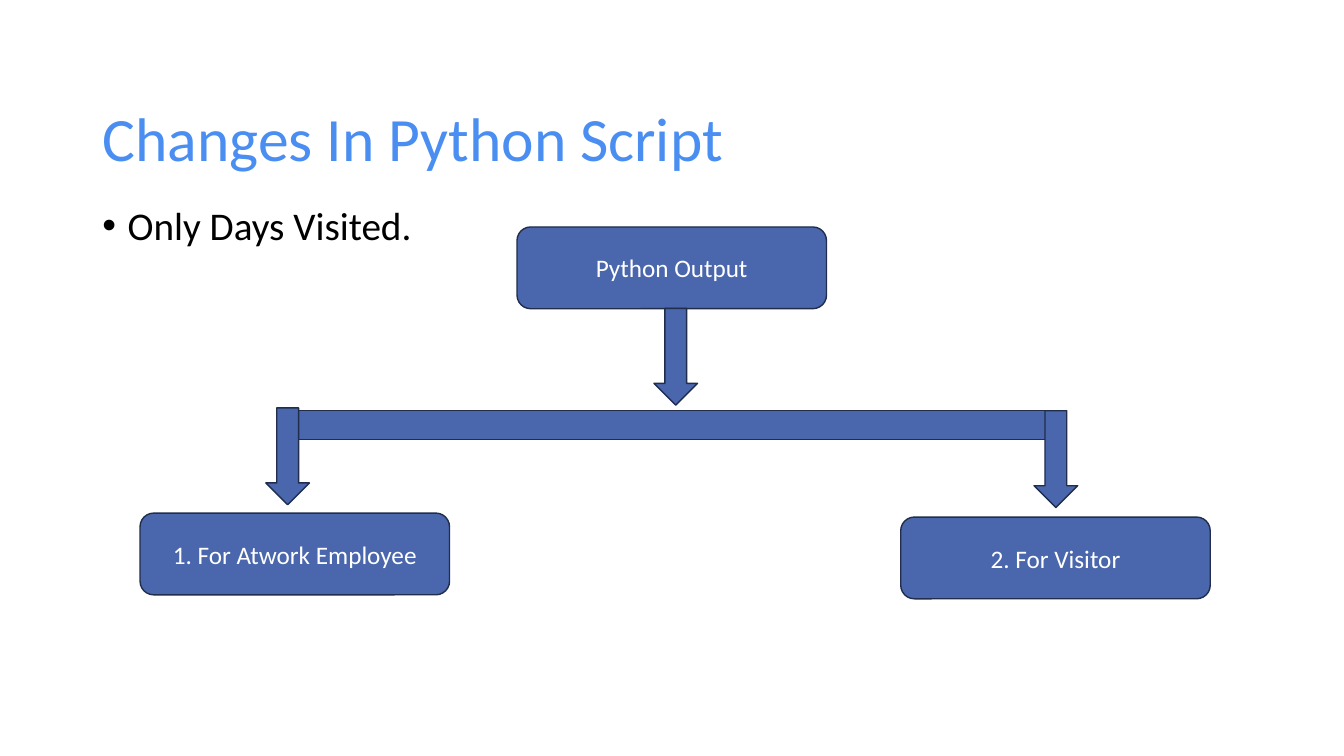
from lxml import etree
from pptx import Presentation
from pptx.dml.color import RGBColor
from pptx.enum.shapes import MSO_SHAPE
from pptx.enum.text import MSO_ANCHOR, MSO_AUTO_SIZE, PP_ALIGN
from pptx.oxml.ns import qn
from pptx.util import Cm, Pt

TITLE_BLUE = RGBColor(0x4A, 0x8E, 0xF2)
SHAPE_BLUE = RGBColor(0x4A, 0x66, 0xAC)
OUTLINE_NAVY = RGBColor(0x20, 0x2D, 0x4B)
BLACK = RGBColor(0, 0, 0)
WHITE = RGBColor(0xFF, 0xFF, 0xFF)
ROUNDED = MSO_SHAPE.ROUNDED_RECTANGLE
ARROW = MSO_SHAPE.DOWN_ARROW
BAR = MSO_SHAPE.RECTANGLE
LEFT, CENTER, JUSTIFY = PP_ALIGN.LEFT, PP_ALIGN.CENTER, PP_ALIGN.JUSTIFY
MIDDLE, TOP = MSO_ANCHOR.MIDDLE, MSO_ANCHOR.TOP


def write_text(box, text, size, color, align, anchor=MIDDLE, line_spacing=1.0):
    frame = box.text_frame
    frame.word_wrap = True
    frame.auto_size = MSO_AUTO_SIZE.NONE
    frame.vertical_anchor = anchor
    para = frame.paragraphs[0]
    para.alignment = align
    para.line_spacing = line_spacing
    span = para.add_run()
    span.text = text
    span.font.name = "Calibri"
    span.font.size = Pt(size)
    span.font.color.rgb = color
    return para


def add_flow_shape(kind, left, top, width, height):
    shape = page.shapes.add_shape(kind, Cm(left), Cm(top), Cm(width), Cm(height))
    shape.shadow.inherit = False
    shape.fill.solid()
    shape.fill.fore_color.rgb = SHAPE_BLUE
    shape.line.color.rgb = OUTLINE_NAVY
    shape.line.width = Pt(1)
    return shape


deck = Presentation()
deck.slide_width, deck.slide_height = Cm(33.87), Cm(19.05)
page = deck.slides.add_slide(deck.slide_layouts[5])

# Title and bullet share the same left edge and width
text_left, text_width = Cm(2.33), Cm(29.21)
title = page.shapes.title
title.left, title.top = text_left, Cm(2.49)
title.width, title.height = text_width, Cm(2.13)
write_text(title, "Changes In Python Script", 44, TITLE_BLUE, LEFT, line_spacing=0.9)

body = page.shapes.add_textbox(text_left, Cm(5.08), text_width, Cm(12.09))
para = write_text(body, "Only Days Visited.", 28, BLACK, JUSTIFY, TOP, 0.9)
para.space_before = Pt(10)
properties = para._p.get_or_add_pPr()
properties.set("marL", str(Cm(0.64)))
properties.set("indent", str(-Cm(0.64)))
etree.SubElement(properties, qn("a:buFont")).set("typeface", "Arial")
etree.SubElement(properties, qn("a:buChar")).set("char", "•")

# Flow: output box, arrow down to the bar, then one arrow per branch
output_box = add_flow_shape(ROUNDED, 13.03, 5.72, 7.8, 2.06)
write_text(output_box, "Python Output", 18, WHITE, CENTER)
add_flow_shape(ARROW, 16.48, 7.77, 1.1, 2.44)
add_flow_shape(BAR, 7.42, 10.35, 19.02, 0.72)

branches = [
    ("1. For Atwork Employee", 6.7, 10.28, 3.53, 12.93),
    ("2. For Visitor", 26.06, 10.35, 22.7, 13.03),
]
for label, arrow_left, arrow_top, box_left, box_top in branches:
    add_flow_shape(ARROW, arrow_left, arrow_top, 1.1, 2.44)
    branch_box = add_flow_shape(ROUNDED, box_left, box_top, 7.8, 2.06)
    write_text(branch_box, label, 18, WHITE, CENTER)

deck.save("out.pptx")
